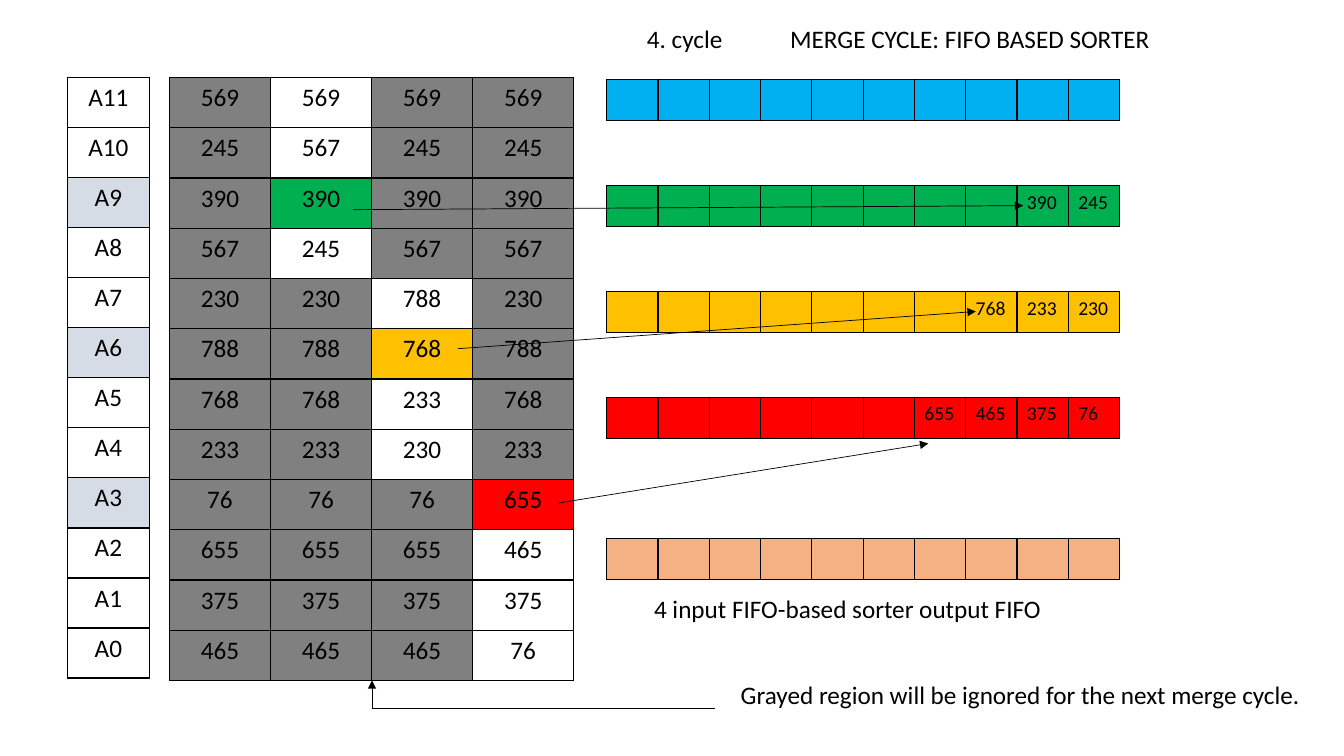
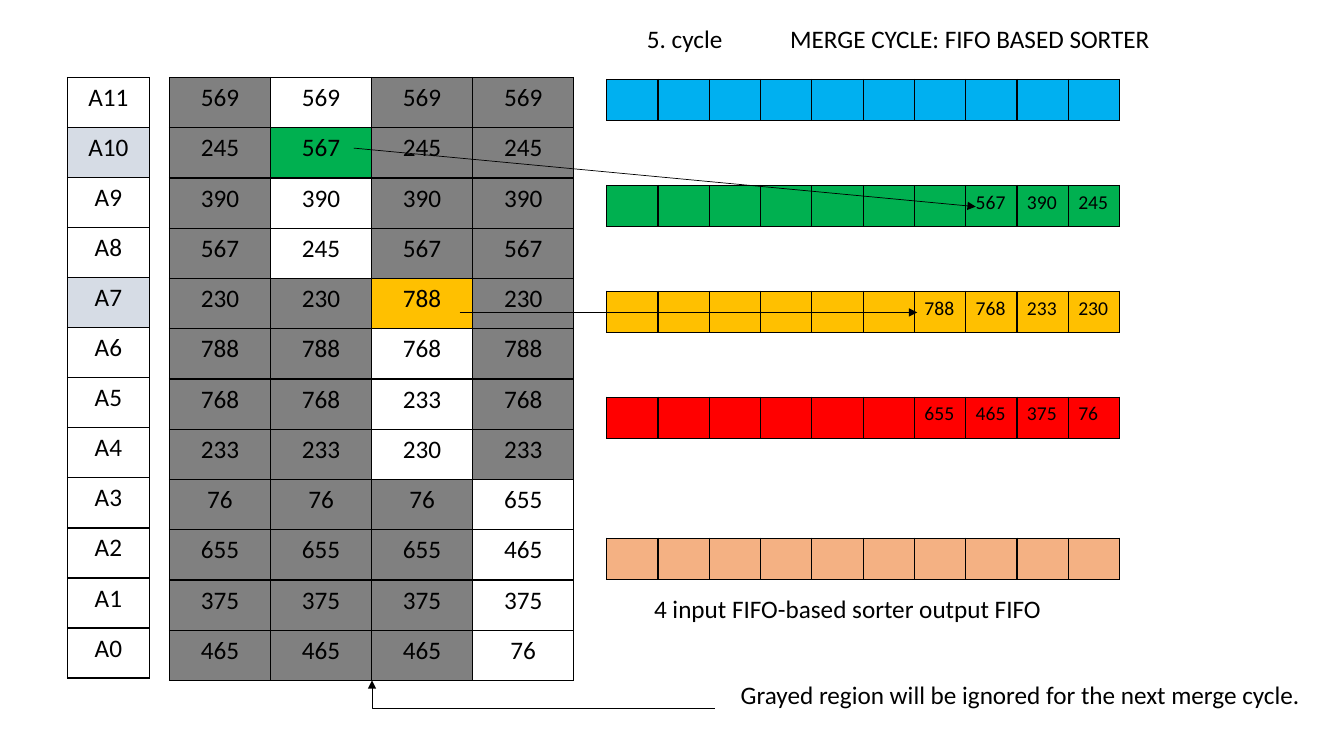
from dataclasses import dataclass

from lxml.etree import SubElement
from pptx import Presentation
from pptx.dml.color import RGBColor
from pptx.enum.shapes import MSO_CONNECTOR
from pptx.enum.text import MSO_AUTO_SIZE, PP_ALIGN
from pptx.oxml.ns import qn
from pptx.util import Pt


@dataclass(frozen=True)
class Theme:
    font: str = "Calibri"
    body_size: float = 18
    queue_size: float = 14
    border_width: float = 1
    arrow_width: float = 0.5
    ink: str = "000000"
    white: str = "FFFFFF"
    ignored: str = "808080"
    current: str = "D6DCE5"
    blue: str = "00B0F0"
    green: str = "00B050"
    gold: str = "FFC000"
    red: str = "FF0000"
    output: str = "F4B183"


THEME = Theme()

ADDRESS_COUNT = 12
BLOCK_SIZE = 4
QUEUE_LENGTH = 10
QUEUE_TOP, QUEUE_STEP, OUTPUT_TOP = 56.8, 75.65, 384.5
UNSORTED = [569, 245, 390, 567, 230, 788, 768, 233, 76, 655, 375, 465]
BLOCK_COLORS = [THEME.green, THEME.gold, THEME.red]

# Per cycle: values already read from each block, blocks read now, arrows (x1, y1, x2, y2)
CYCLES = [
    (4, (2, 3, 4), (0, 1, 2), [
        (398.9, 359.3, 663.1, 316.8),
        (326.9, 249.1, 697, 222.5),
        (252, 149.8, 730.8, 146.9),
    ]),
    (5, (3, 4, 4), (0, 1), [
        (328.3, 223.2, 655.2, 223.2),
        (252.7, 105.8, 697, 147.6),
    ]),
]


def write_text(frame, text, size=THEME.body_size, align=PP_ALIGN.LEFT):
    paragraph = frame.paragraphs[0]
    paragraph.alignment = align
    run = paragraph.add_run()
    run.text = text
    run.font.name = THEME.font
    run.font.size = Pt(size)
    run.font.color.rgb = RGBColor.from_string(THEME.ink)


def add_grid(slide, rows, left, top, width, height, **text_format):
    """Draw a bordered table from rows of (text, fill colour) pairs."""
    table = slide.shapes.add_table(
        len(rows), len(rows[0]), Pt(left), Pt(top), Pt(width), Pt(height)).table
    table.first_row = table.horz_banding = False
    for row_index, row in enumerate(rows):
        for column, (text, color) in enumerate(row):
            cell = table.cell(row_index, column)
            properties = cell._tc.get_or_add_tcPr()
            for side in ("a:lnL", "a:lnR", "a:lnT", "a:lnB"):
                border = SubElement(properties, qn(side), w=str(Pt(THEME.border_width)))
                border_fill = SubElement(border, qn("a:solidFill"))
                SubElement(border_fill, qn("a:srgbClr"), val=THEME.ink)
            cell.fill.solid()
            cell.fill.fore_color.rgb = RGBColor.from_string(color)
            if text:
                write_text(cell.text_frame, text, **text_format)


presentation = Presentation()
presentation.slide_width, presentation.slide_height = Pt(960), Pt(540)

# Column 0 holds the input; each later column sorts one block of four, largest first
blocks = [sorted(UNSORTED[start:start + BLOCK_SIZE], reverse=True)
          for start in range(0, ADDRESS_COUNT, BLOCK_SIZE)]

for cycle, read_counts, active_blocks, reading_arrows in CYCLES:
    slide = presentation.slides.add_slide(presentation.slide_layouts[6])

    memory = [[(str(value), THEME.ignored)] * (len(blocks) + 1) for value in UNSORTED]
    addresses = [[(f"A{ADDRESS_COUNT - 1 - row}", THEME.white)]
                 for row in range(ADDRESS_COUNT)]
    queues = [(QUEUE_TOP, THEME.blue, [])]
    for index, (block, color, count) in enumerate(zip(blocks, BLOCK_COLORS, read_counts)):
        first_row = index * BLOCK_SIZE
        for offset, value in enumerate(block):
            memory[first_row + offset][index + 1] = (str(value), THEME.white)
        if index in active_blocks:
            offset = BLOCK_SIZE - count
            row = first_row + offset
            memory[row][index + 1] = (str(block[offset]), color)
            addresses[row] = [(addresses[row][0][0], THEME.current)]
        queues.append((QUEUE_TOP + (index + 1) * QUEUE_STEP, color, block[-count:]))
    queues.append((OUTPUT_TOP, THEME.output, []))

    add_grid(slide, memory, 121, 55.4, 288.8, 430.8, align=PP_ALIGN.CENTER)
    add_grid(slide, addresses, 48.2, 55.4, 58.4, 429.2, align=PP_ALIGN.CENTER)
    for top, color, values in queues:
        texts = [""] * (QUEUE_LENGTH - len(values)) + [str(value) for value in values]
        add_grid(slide, [[(text, color) for text in texts]],
                 433.4, top, 366.5, 28.8, size=THEME.queue_size)

    for text, left, top, width in [
        (f"{cycle}. cycle", 455, 13, 102.2),
        ("MERGE CYCLE: FIFO BASED SORTER", 557.3, 13, 301),
        ("4 input FIFO-based sorter output FIFO", 460.1, 420.5, 313.2),
        ("Grayed region will be ignored for the next merge cycle.", 522, 481.7, 416.9),
    ]:
        caption = slide.shapes.add_textbox(Pt(left), Pt(top), Pt(width), Pt(29)).text_frame
        caption.word_wrap = True
        caption.auto_size = MSO_AUTO_SIZE.SHAPE_TO_FIT_TEXT
        write_text(caption, text)

    ignored_pointer = (265.7, 486, 510.5, 506.2)
    for ends in [ignored_pointer, *reading_arrows]:
        is_bent = ends == ignored_pointer
        kind = MSO_CONNECTOR.ELBOW if is_bent else MSO_CONNECTOR.STRAIGHT
        arrow = slide.shapes.add_connector(kind, *[Pt(end) for end in ends])
        arrow.line.width = Pt(THEME.arrow_width)
        arrow.line.color.rgb = RGBColor.from_string(THEME.ink)
        SubElement(arrow.line._get_or_add_ln(), qn("a:tailEnd"), type="triangle")
        properties = arrow._element.spPr
        SubElement(properties, qn("a:effectLst"))
        if is_bent:
            # One corner, turned half way round so the head points up at the table
            properties.find(qn("a:prstGeom")).set("prst", "bentConnector2")
            properties.find(qn("a:xfrm")).set("rot", "10800000")

presentation.save("out.pptx")
